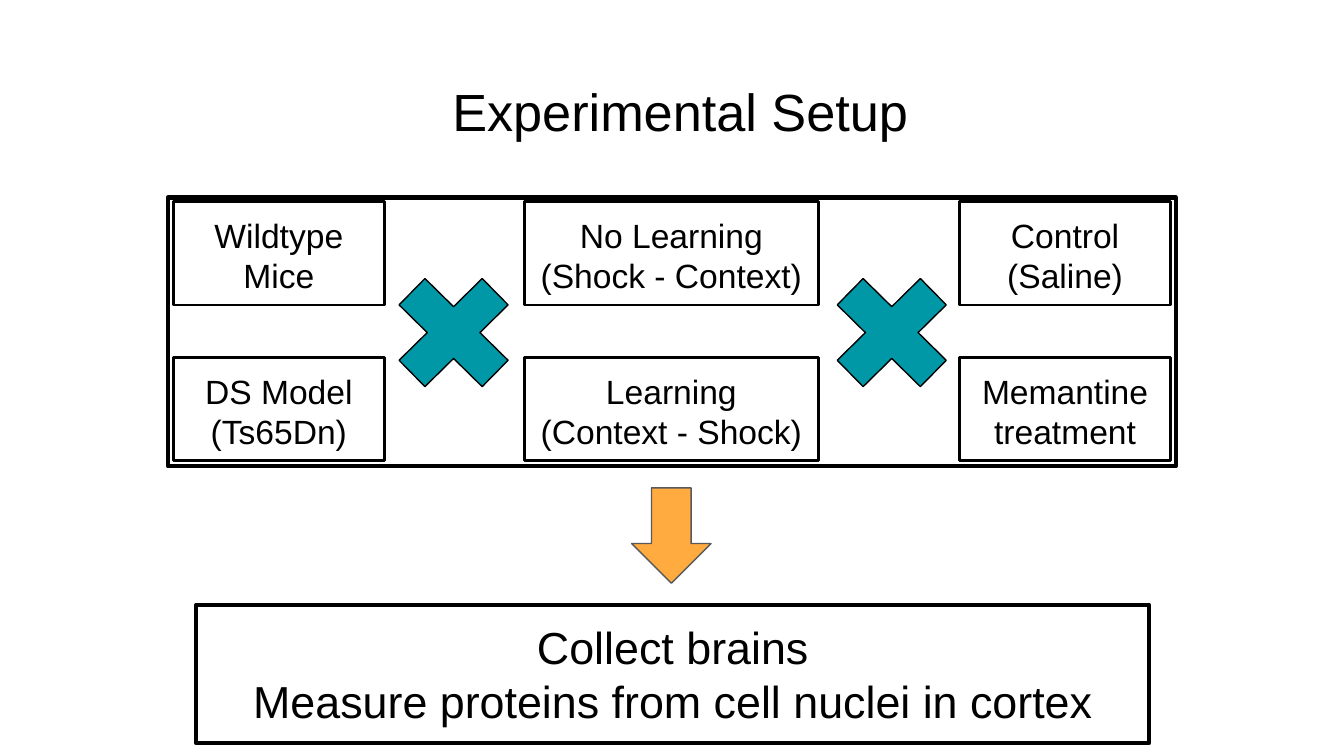
from pptx import Presentation
from pptx.dml.color import RGBColor
from pptx.enum.shapes import MSO_SHAPE
from pptx.enum.text import MSO_ANCHOR, MSO_AUTO_SIZE, PP_ALIGN
from pptx.util import Inches, Pt

RECT = MSO_SHAPE.RECTANGLE
CROSS = MSO_SHAPE.MATH_MULTIPLY
ARROW = MSO_SHAPE.DOWN_ARROW
TOP = MSO_ANCHOR.TOP
MIDDLE = MSO_ANCHOR.MIDDLE
CENTER = PP_ALIGN.CENTER
NO_FIT = MSO_AUTO_SIZE.NONE

BLACK = RGBColor(0x00, 0x00, 0x00)
GRAY = RGBColor(0x59, 0x59, 0x59)
TEAL = RGBColor(0x00, 0x97, 0xA7)
ORANGE = RGBColor(0xFF, 0xAB, 0x40)

FONT = "Arial"
SLIDE_WIDTH = Inches(10)
SLIDE_HEIGHT = SLIDE_WIDTH * 9 // 16
ROW_TOP, ROW_STEP, ROW_HEIGHT = 1.5, 1.16, 0.77
FACTORS = [
    (1.29, 1.57, ["Wildtype\nMice", "DS Model (Ts65Dn)"]),
    (3.9, 2.19, ["No Learning\n(Shock - Context)", "Learning\n(Context - Shock)"]),
    (7.14, 1.57, ["Control (Saline)", "Memantine\ntreatment"]),
]
CROSS_LEFTS = [2.78, 6.04]


def set_text(sp, text, size, anchor=TOP):
    """Write centred paragraphs into a shape."""
    tf = sp.text_frame
    tf.text = text
    tf.word_wrap = True
    tf.auto_size = NO_FIT
    tf.vertical_anchor = anchor
    tf.margin_left = tf.margin_right = tf.margin_top = tf.margin_bottom = Inches(0.1)
    for p in tf.paragraphs:
        p.alignment = CENTER
        p.font.name = FONT
        p.font.size = Pt(size)
        p.font.color.rgb = BLACK


def add_shape(s, kind, box, weight, fill=None, line=BLACK):
    """Add an outlined preset shape, filled if a colour is given."""
    sp = s.shapes.add_shape(kind, *map(Inches, box))
    sp.shadow.inherit = False
    if fill is None:
        sp.fill.background()
    else:
        sp.fill.solid()
        sp.fill.fore_color.rgb = fill
    sp.line.color.rgb = line
    sp.line.width = Pt(weight)
    return sp


def add_title(s, text):
    """Place and format the slide title."""
    sp = s.shapes.title
    sp.left, sp.top, sp.width, sp.height = map(Inches, (0.4, 0.49, 9.32, 0.63))
    set_text(sp, text, 28)


def add_factors(s):
    """Draw the conditions of each factor, crossed with the next."""
    for left, width, conditions in FACTORS:
        for row, text in enumerate(conditions):
            top = ROW_TOP + row * ROW_STEP
            sp = add_shape(s, RECT, (left, top, width, ROW_HEIGHT), 1.5)
            set_text(sp, text, 18)
    for left in CROSS_LEFTS:
        sp = add_shape(s, CROSS, (left, 1.89, 1.19, 1.17), 0.75, TEAL)
        sp.adjustments[0] = 0.235


def main():
    """Build the experimental setup slide."""
    prs = Presentation()
    prs.slide_width, prs.slide_height = SLIDE_WIDTH, SLIDE_HEIGHT
    s = prs.slides.add_slide(prs.slide_layouts[5])
    add_title(s, "Experimental Setup")
    add_shape(s, RECT, (1.25, 1.47, 7.5, 2), 2.25)
    add_factors(s)
    add_shape(s, ARROW, (4.7, 3.63, 0.59, 0.71), 0.75, ORANGE, GRAY)
    outcome = add_shape(s, RECT, (1.46, 4.5, 7.09, 1.03), 2.25)
    set_text(outcome, "Collect brains\nMeasure proteins from cell nuclei in cortex", 24, MIDDLE)
    prs.save("out.pptx")


main()
